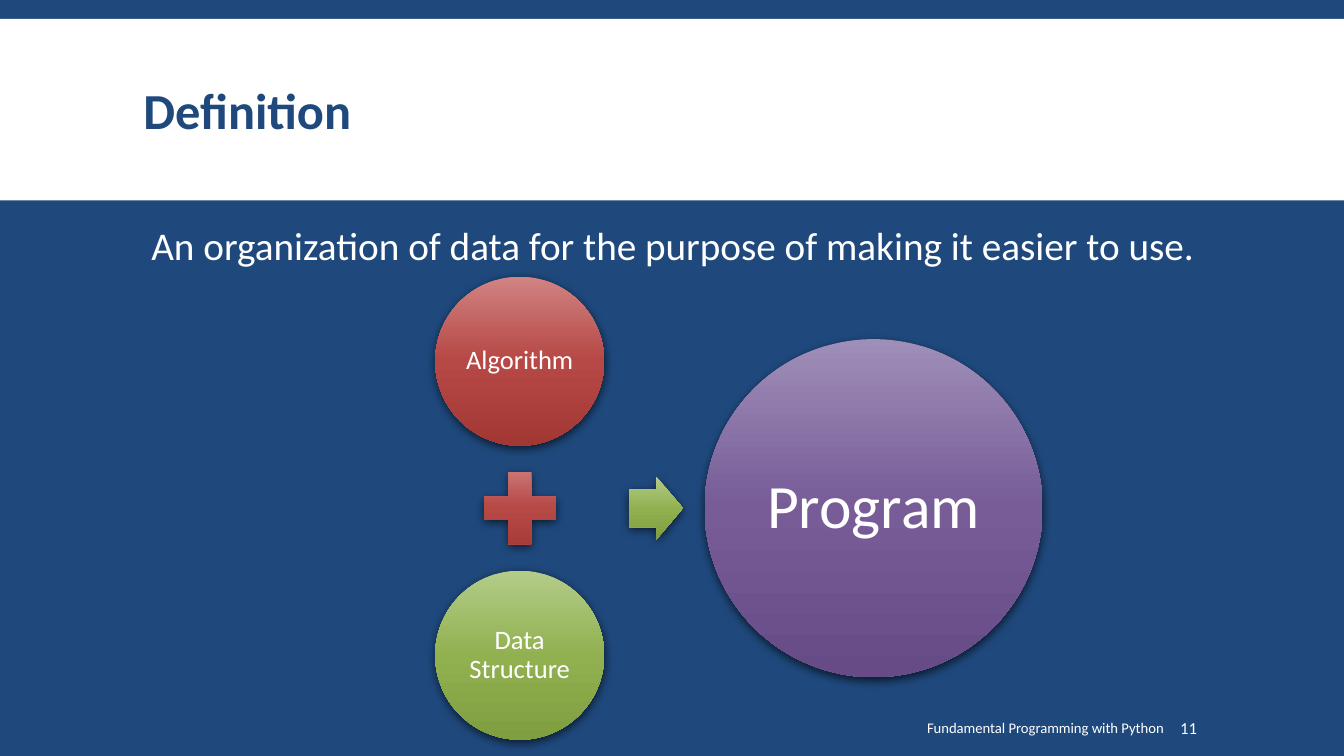
import copy

import pptx
import pptx.dml.color
import pptx.enum.shapes
import pptx.enum.text
import pptx.util
from lxml import etree

PX = 9525
NAVY, WHITE = "1F497D", "FFFFFF"
RED = ("D08382", "B64845", "A33734")
GREEN = ("B3CC88", "91B151", "7F9E3F")
PURPLE = ("9F8EB8", "775C98", "664B87")
SHADOW = (
    '<a:outerShdw xmlns:a="http://schemas.openxmlformats.org/drawingml/2006/main" '
    'blurRad="88900" dist="27940" dir="5400000" algn="ctr" rotWithShape="0">'
    '<a:srgbClr val="000000"><a:alpha val="63000"/></a:srgbClr></a:outerShdw>'
)
SHAPE = pptx.enum.shapes.MSO_SHAPE
ALIGN = pptx.enum.text.PP_ALIGN
ANCHOR = pptx.enum.text.MSO_ANCHOR


def rgb(code):
    return pptx.dml.color.RGBColor.from_string(code)


def write(box, text, size, color=WHITE, align=ALIGN.LEFT, anchor=ANCHOR.MIDDLE,
          spacing=1.0, bold=False):
    """Fill the box with one formatted run and return its paragraph."""
    frame = box.text_frame
    frame.word_wrap = True
    frame.auto_size = pptx.enum.text.MSO_AUTO_SIZE.NONE
    frame.vertical_anchor = anchor
    para = frame.paragraphs[0]
    para.alignment = align
    para.line_spacing = spacing
    span = para.add_run()
    span.text = text
    span.font.name = "Calibri"
    span.font.size = pptx.util.Pt(size)
    span.font.bold = bold
    span.font.color.rgb = rgb(color)
    return para


deck = pptx.Presentation()
deck.slide_width, deck.slide_height = 1280 * PX, 720 * PX
page = deck.slides.add_slide(deck.slide_layouts[5])
page.background.fill.solid()
page.background.fill.fore_color.rgb = rgb(NAVY)

# Title on its white band, which goes behind everything else
band = page.shapes.add_shape(SHAPE.RECTANGLE, 0, 18 * PX, 1280 * PX, 173 * PX)
band.shadow.inherit = False
band.fill.solid()
band.fill.fore_color.rgb = rgb(WHITE)
band.line.fill.background()
title = page.shapes.title
title.left, title.top, title.width, title.height = 127 * PX, 30 * PX, 1027 * PX, 158 * PX
write(title, "Definition", 36, color=NAVY, spacing=0.85, bold=True)
title.element.addprevious(band.element)

# Definition text and footer
body = page.shapes.add_textbox(127 * PX, 211 * PX, 1027 * PX, 442 * PX)
sentence = write(body, "An organization of data for the purpose of making it easier to use.",
                 28, align=ALIGN.CENTER, anchor=ANCHOR.TOP, spacing=0.9)
sentence.space_before, sentence.space_after = pptx.util.Pt(12), pptx.util.Pt(2)
footer = page.shapes.add_textbox(588 * PX, 674 * PX, 530 * PX, 38 * PX)
write(footer, "Fundamental Programming with Python", 10.5, align=ALIGN.RIGHT)
number = page.shapes.add_textbox(1119 * PX, 674 * PX, 99 * PX, 38 * PX)
number.text_frame.margin_left = 5 * PX
write(number, "11", 12)

# Equation: (centre x, centre y, width, height), all around one middle line
MIDDLE, INPUT_X, INPUT_GAP = 484, 495, 140
equation = [
    (SHAPE.OVAL, INPUT_X, MIDDLE - INPUT_GAP, 161, 161, RED, "Algorithm", 19, 3),
    (SHAPE.MATH_PLUS, INPUT_X, MIDDLE, 93, 93, RED, "", 0, 0),
    (SHAPE.OVAL, INPUT_X, MIDDLE + INPUT_GAP, 161, 161, GREEN, "Data Structure", 19, 3),
    (SHAPE.RIGHT_ARROW, 625, MIDDLE, 51, 60, GREEN, "", 0, 0),
    (SHAPE.OVAL, 832, MIDDLE, 322, 322, PURPLE, "Program", 44, 6),
]
for kind, x, y, width, height, colors, label, size, margin in equation:
    part = page.shapes.add_shape(kind, round((x - width / 2) * PX), round((y - height / 2) * PX),
                                 width * PX, height * PX)
    if kind == SHAPE.RIGHT_ARROW:
        part.adjustments[0], part.adjustments[1] = 0.6, 0.5
    part.line.fill.background()
    part.fill.gradient()
    part.fill.gradient_angle = 270
    first_stop = part.element.spPr.find(".//{*}gs")
    first_stop.addnext(copy.deepcopy(first_stop))
    for stop, position, color in zip(part.fill.gradient_stops, (0, 0.5, 1), colors):
        stop.position = position
        stop.color.rgb = rgb(color)
    part.shadow.inherit = False
    part.element.spPr.find("{*}effectLst").append(etree.fromstring(SHADOW))
    if label:
        frame = part.text_frame
        frame.margin_left = frame.margin_right = margin * PX
        frame.margin_top = frame.margin_bottom = margin * PX
        write(part, label, size, align=ALIGN.CENTER, spacing=0.9)

deck.save("out.pptx")
